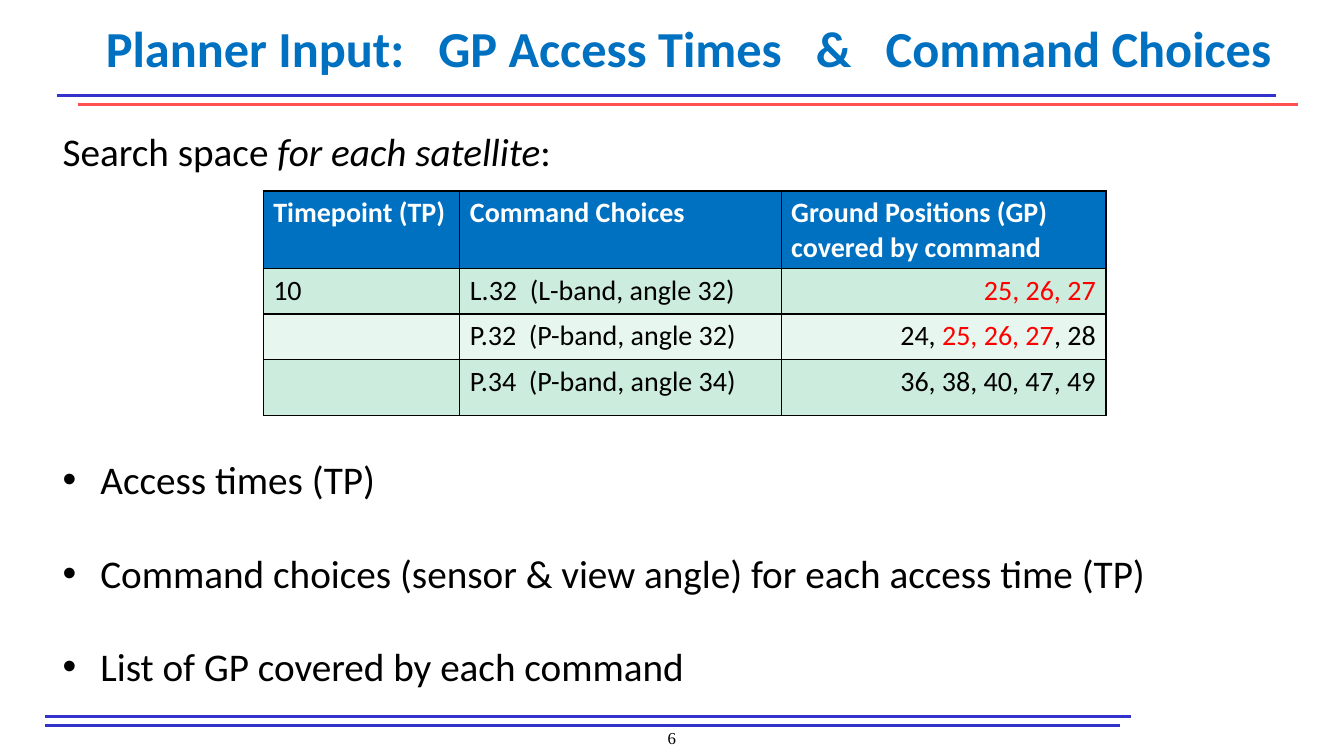
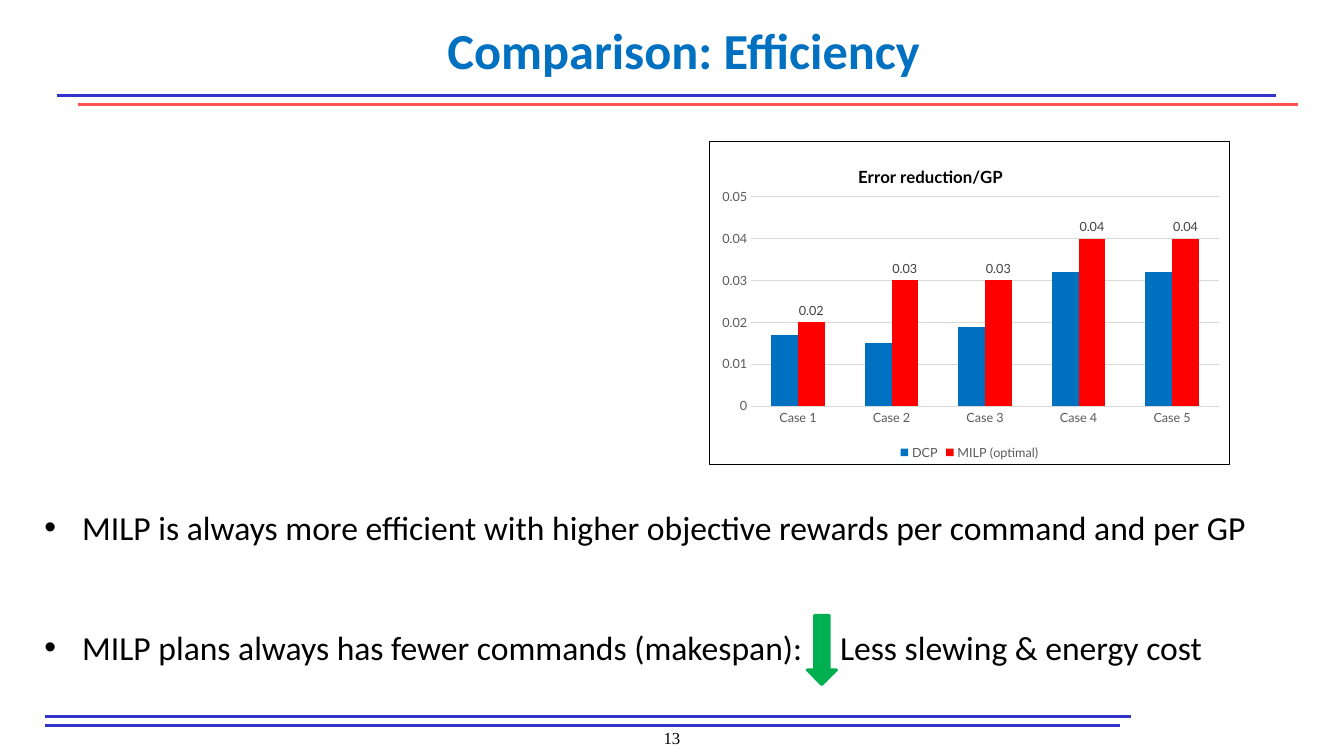
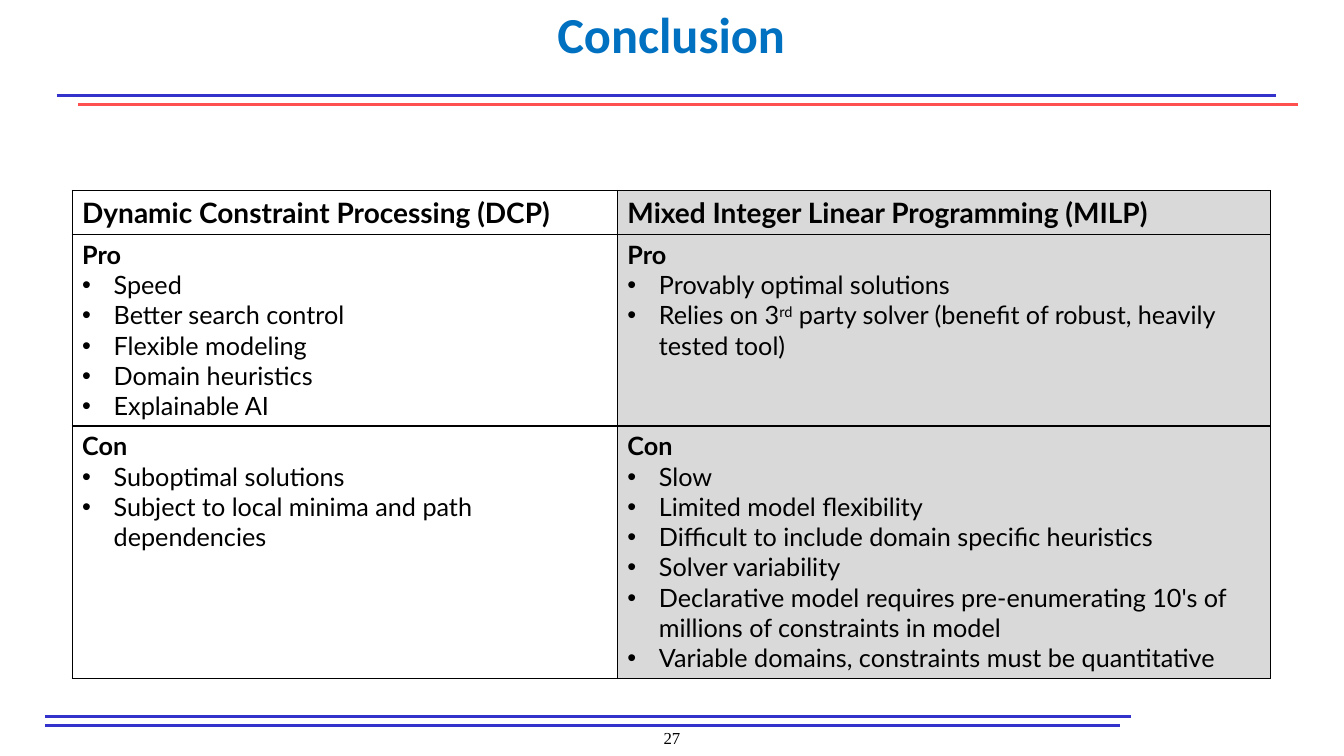
from lxml import etree
from pptx import Presentation
from pptx.chart.data import CategoryChartData
from pptx.dml.color import RGBColor
from pptx.enum.chart import XL_CHART_TYPE, XL_LABEL_POSITION, XL_LEGEND_POSITION, XL_TICK_MARK
from pptx.enum.shapes import MSO_CONNECTOR, MSO_SHAPE
from pptx.enum.text import MSO_ANCHOR, MSO_AUTO_SIZE, PP_ALIGN
from pptx.oxml import parse_xml
from pptx.oxml.ns import nsdecls, qn
from pptx.util import Pt

COLUMNS = XL_CHART_TYPE.COLUMN_CLUSTERED
OUTSIDE_END = XL_LABEL_POSITION.OUTSIDE_END
LEGEND_BOTTOM = XL_LEGEND_POSITION.BOTTOM
NO_TICK = XL_TICK_MARK.NONE
STRAIGHT = MSO_CONNECTOR.STRAIGHT
DOWN_ARROW = MSO_SHAPE.DOWN_ARROW
TOP, MIDDLE = MSO_ANCHOR.TOP, MSO_ANCHOR.MIDDLE
NO_AUTOFIT = MSO_AUTO_SIZE.NONE
LEFT, CENTER, RIGHT = PP_ALIGN.LEFT, PP_ALIGN.CENTER, PP_ALIGN.RIGHT

BLACK, WHITE, RED, GREEN = "000000", "FFFFFF", "FF0000", "00B050"
BLUE, RULE_BLUE, RULE_RED = "0070C0", "3333CC", "FF5050"
MINT, PALE_MINT = "CCECDE", "E7F6EF"
GRAY, LABEL_GRAY, AXIS_GRAY = "D9D9D9", "404040", "595959"
MAIN_FONT, TABLE_FONT, NUMBER_FONT = "Calibri", "Lato", "Times New Roman"
TITLE_AND_BODY, TITLE_ONLY = 1, 5

# left, right, y, width, colour
RULES = [
    (40.5, 911.5, 68.4, 2.25, RULE_BLUE),
    (56, 927.5, 74.4, 2.25, RULE_RED),
    (32, 800, 518.4, 2, RULE_BLUE),
    (32, 808, 512, 2, RULE_BLUE),
]


# Formatting helpers
def color(hex_text):
    return RGBColor.from_string(hex_text)


def style_font(font, size, hex_color, name=MAIN_FONT, bold=False):
    font.name, font.size, font.bold = name, Pt(size), bold
    font.color.rgb = color(hex_color)


def place(shape, left, top, width, height):
    shape.left, shape.top = Pt(left), Pt(top)
    shape.width, shape.height = Pt(width), Pt(height)


def write(paragraph, parts, size, hex_color=BLACK, name=MAIN_FONT, bold=False, align=LEFT):
    """Fill a paragraph from a string or from (text, mark) pairs."""
    paragraph.alignment = align
    for text, mark in [(parts, None)] if isinstance(parts, str) else parts:
        run = paragraph.add_run()
        run.text = text
        style_font(run.font, size, RED if mark == "red" else hex_color, name, bold)
        if mark == "italic":
            run.font.italic = True
        elif mark == "superscript":
            run._r.get_or_add_rPr().set("baseline", "30000")


def set_bullet(paragraph, indent):
    """Give a hanging bullet, or none when the indent is 0."""
    properties = paragraph._p.get_or_add_pPr()
    properties.set("marL", str(Pt(indent)))
    properties.set("indent", str(-Pt(indent)))
    if indent:
        etree.SubElement(properties, qn("a:buFont")).set("typeface", "Arial")
        etree.SubElement(properties, qn("a:buChar")).set("char", "•")
    else:
        etree.SubElement(properties, qn("a:buNone"))


def paragraphs_for(text_frame, items):
    """Pair each item with a paragraph, starting with the one already there."""
    for index, item in enumerate(items):
        yield (text_frame.add_paragraph() if index else text_frame.paragraphs[0]), item


# Shared parts
def add_rules(presentation, slide):
    """Draw the rules and move them to the master, so that every slide has them."""
    master_tree = presentation.slide_master.shapes.element
    for number, (left, right, y, width, hex_color) in enumerate(RULES):
        rule = slide.shapes.add_connector(STRAIGHT, Pt(left), Pt(y), Pt(right), Pt(y))
        rule.line.color.rgb = color(hex_color)
        rule.line.width = Pt(width)
        etree.SubElement(rule.element.spPr, qn("a:effectLst"))
        rule.element.nvCxnSpPr.cNvPr.set("id", str(100 + number))
        master_tree.append(rule.element)


def add_slide(presentation, layout, title, title_box, number):
    slide = presentation.slides.add_slide(presentation.slide_layouts[layout])
    place(slide.shapes.title, *title_box)
    frame = slide.shapes.title.text_frame
    frame.auto_size, frame.vertical_anchor = NO_AUTOFIT, MIDDLE
    write(frame.paragraphs[0], title, 36, BLUE, bold=True, align=CENTER)

    number_box = slide.shapes.add_textbox(Pt(412), Pt(516), Pt(136), Pt(24))
    number_box.text_frame.word_wrap = True
    write(number_box.text_frame.paragraphs[0], number, 12, name=NUMBER_FONT, align=CENTER)
    return slide


def fill_body(slide, box, size, items):
    """Each item is (parts, space before, bullet indent)."""
    body = slide.placeholders[1]
    place(body, *box)
    frame = body.text_frame
    frame.auto_size, frame.vertical_anchor = NO_AUTOFIT, TOP
    for paragraph, (parts, space, indent) in paragraphs_for(frame, items):
        paragraph.space_before = Pt(space)
        set_bullet(paragraph, indent)
        write(paragraph, parts, size)


# Tables
def add_table(slide, left, top, widths, heights):
    frame = slide.shapes.add_table(len(heights), len(widths), Pt(left), Pt(top),
                                   Pt(sum(widths)), Pt(sum(heights)))
    for column, width in zip(frame.table.columns, widths):
        column.width = Pt(width)
    for row, height in zip(frame.table.rows, heights):
        row.height = Pt(height)
    return frame.table


def style_cell(cell, fill):
    properties = cell._tc.get_or_add_tcPr()
    for side in ("lnL", "lnR", "lnT", "lnB"):
        properties.append(parse_xml(
            f'<a:{side} {nsdecls("a")} w="{Pt(1)}"><a:solidFill>'
            f'<a:srgbClr val="{BLACK}"/></a:solidFill></a:{side}>'))
    cell.fill.solid()
    cell.fill.fore_color.rgb = color(fill)


def add_command_table(slide):
    rows = [
        [["Timepoint (TP)"], ["Command Choices"],
         ["Ground Positions (GP)", "covered by command"]],
        [["10"], ["L.32  (L-band, angle 32)"], [[("25, 26, 27", "red")]]],
        [[], ["P.32  (P-band, angle 32)"],
         [[("24, ", None), ("25, 26, 27", "red"), (", 28", None)]]],
        [[], ["P.34  (P-band, angle 34)"], ["36, 38, 40, 47, 49"]],
    ]
    fills = [BLUE, MINT, PALE_MINT, MINT]
    table = add_table(slide, 188, 136.5, [140.5, 229.5, 232], [55, 32.5, 32.5, 40])
    for row, (cells, fill) in enumerate(zip(rows, fills)):
        header = row == 0
        for column, lines in enumerate(cells):
            cell = table.cell(row, column)
            style_cell(cell, fill)
            for paragraph, parts in paragraphs_for(cell.text_frame, lines):
                write(paragraph, parts, 20, WHITE if header else BLACK, bold=header,
                      align=RIGHT if column == 2 and not header else LEFT)


def add_method_table(slide):
    methods = [
        ("Dynamic Constraint Processing (DCP)", WHITE,
         ["Speed", "Better search control", "Flexible modeling", "Domain heuristics",
          "Explainable AI"],
         ["Suboptimal solutions", "Subject to local minima and path dependencies"]),
        ("Mixed Integer Linear Programming (MILP)", GRAY,
         ["Provably optimal solutions",
          [("Relies on 3", None), ("rd", "superscript"),
           (" party solver (benefit of robust, heavily tested tool)", None)]],
         ["Slow", "Limited model flexibility",
          "Difficult to include domain specific heuristics", "Solver variability",
          "Declarative model requires pre-enumerating 10's of millions of constraints in model",
          "Variable domains, constraints must be quantitative"]),
    ]
    table = add_table(slide, 51.5, 136, [389.5, 466.5], [31.5, 136.5, 180])
    for column, (method, fill, pros, cons) in enumerate(methods):
        for row, (heading, points) in enumerate([(method, []), ("Pro", pros), ("Con", cons)]):
            cell = table.cell(row, column)
            style_cell(cell, fill)
            lines = enumerate([heading] + points)
            for paragraph, (line, parts) in paragraphs_for(cell.text_frame, lines):
                if line:
                    set_bullet(paragraph, 22.5)
                write(paragraph, parts, 18 if row else 20, name=TABLE_FONT, bold=line == 0)


# Chart
def set_layout(parent, position, **fractions):
    """Fix a chart part's place as fractions of the chart's size."""
    for layout in parent.findall(qn("c:layout")):
        parent.remove(layout)
    layout = etree.Element(qn("c:layout"))
    manual = etree.SubElement(layout, qn("c:manualLayout"))
    if "w" in fractions:
        etree.SubElement(manual, qn("c:layoutTarget")).set("val", "inner")
    for axis in "xy":
        etree.SubElement(manual, qn(f"c:{axis}Mode")).set("val", "edge")
    for key, value in fractions.items():
        etree.SubElement(manual, qn(f"c:{key}")).set("val", str(value))
    parent.insert(position, layout)


def style_line(line, hex_color):
    line.color.rgb = color(hex_color)
    line.width = Pt(0.75)


def add_error_chart(slide):
    data = CategoryChartData()
    data.categories = [f"Case {number}" for number in range(1, 6)]
    data.add_series("DCP", [0.017, 0.015, 0.019, 0.032, 0.032])
    data.add_series("MILP (optimal)", [0.02, 0.03, 0.03, 0.04, 0.04])
    chart = slide.shapes.add_chart(COLUMNS, Pt(506.5), Pt(101), Pt(372), Pt(231), data).chart
    style_font(chart.font, 10, BLACK, TABLE_FONT)
    chart.element.find(qn("c:txPr")).addprevious(parse_xml(
        f'<c:spPr {nsdecls("c", "a")}><a:solidFill><a:srgbClr val="{WHITE}"/></a:solidFill>'
        f'<a:ln w="{Pt(0.75)}"><a:solidFill><a:srgbClr val="{BLACK}"/></a:solidFill></a:ln>'
        '</c:spPr>'))

    # Title, plot area and legend
    title = chart.chart_title
    write(title.text_frame.paragraphs[0], "Error reduction/GP", 12, name=TABLE_FONT,
          bold=True, align=CENTER)
    set_layout(title.element, 1, x=0.28, y=0.06)
    set_layout(chart.element.chart.plotArea, 0, x=0.08, y=0.17, w=0.9, h=0.65)
    chart.has_legend = True
    chart.legend.position = LEGEND_BOTTOM
    chart.legend.include_in_layout = False
    style_font(chart.legend.font, 9, AXIS_GRAY, TABLE_FONT)

    # Axes
    for axis in (chart.category_axis, chart.value_axis):
        axis.major_tick_mark = axis.minor_tick_mark = NO_TICK
        style_font(axis.tick_labels.font, 9, AXIS_GRAY, TABLE_FONT)
    style_line(chart.category_axis.format.line, GRAY)
    values = chart.value_axis
    values.minimum_scale, values.maximum_scale, values.major_unit = 0, 0.05, 0.01
    values.format.line.fill.background()
    style_line(values.major_gridlines.format.line, GRAY)

    # Columns
    plot = chart.plots[0]
    plot.gap_width, plot.overlap, plot.vary_by_categories = 150, 0, False
    for series, fill in zip(plot.series, (BLUE, RED)):
        series.format.fill.solid()
        series.format.fill.fore_color.rgb = color(fill)
    labels = plot.series[1].data_labels
    labels.show_value = True
    labels.number_format, labels.number_format_is_linked = "0.00", False
    labels.position = OUTSIDE_END
    style_font(labels.font, 9, LABEL_GRAY, TABLE_FONT)


def add_down_arrow(slide, left, top, width, height):
    arrow = slide.shapes.add_shape(DOWN_ARROW, Pt(left), Pt(top), Pt(width), Pt(height))
    arrow.shadow.inherit = False
    arrow.fill.solid()
    arrow.fill.fore_color.rgb = arrow.line.color.rgb = color(GREEN)
    arrow.line.width = Pt(2)


def main():
    presentation = Presentation()
    presentation.slide_width, presentation.slide_height = Pt(960), Pt(540)

    # Planner input
    slide = add_slide(presentation, TITLE_AND_BODY,
                      "Planner Input:   GP Access Times   &   Command Choices",
                      (58.5, 8, 867.5, 51), "6")
    add_rules(presentation, slide)
    fill_body(slide, (37.5, 87, 903, 415), 28, [
        ([("Search space ", None), ("for each satellite", "italic"), (":", None)], 0, 0),
        ("Access times (TP)", 201, 27),
        ("Command choices (sensor & view angle) for each access time (TP)", 33.3, 27),
        ("List of GP covered by each command", 33.3, 27),
    ])
    add_command_table(slide)

    # Efficiency
    slide = add_slide(presentation, TITLE_AND_BODY, "Comparison: Efficiency",
                      (98, 10, 781, 51), "13")
    add_error_chart(slide)
    fill_body(slide, (24.5, 358.5, 889, 124), 24, [
        ("MILP is always more efficient with higher objective rewards per command and per GP",
         0, 27),
        ("MILP plans always has fewer commands (makespan):     Less slewing & energy cost",
         57, 27),
    ])
    add_down_arrow(slide, 576.5, 439.5, 21, 49.5)

    # Conclusion
    slide = add_slide(presentation, TITLE_ONLY, "Conclusion", (89, -2, 781, 51), "27")
    add_method_table(slide)

    presentation.save("out.pptx")


if __name__ == "__main__":
    main()
